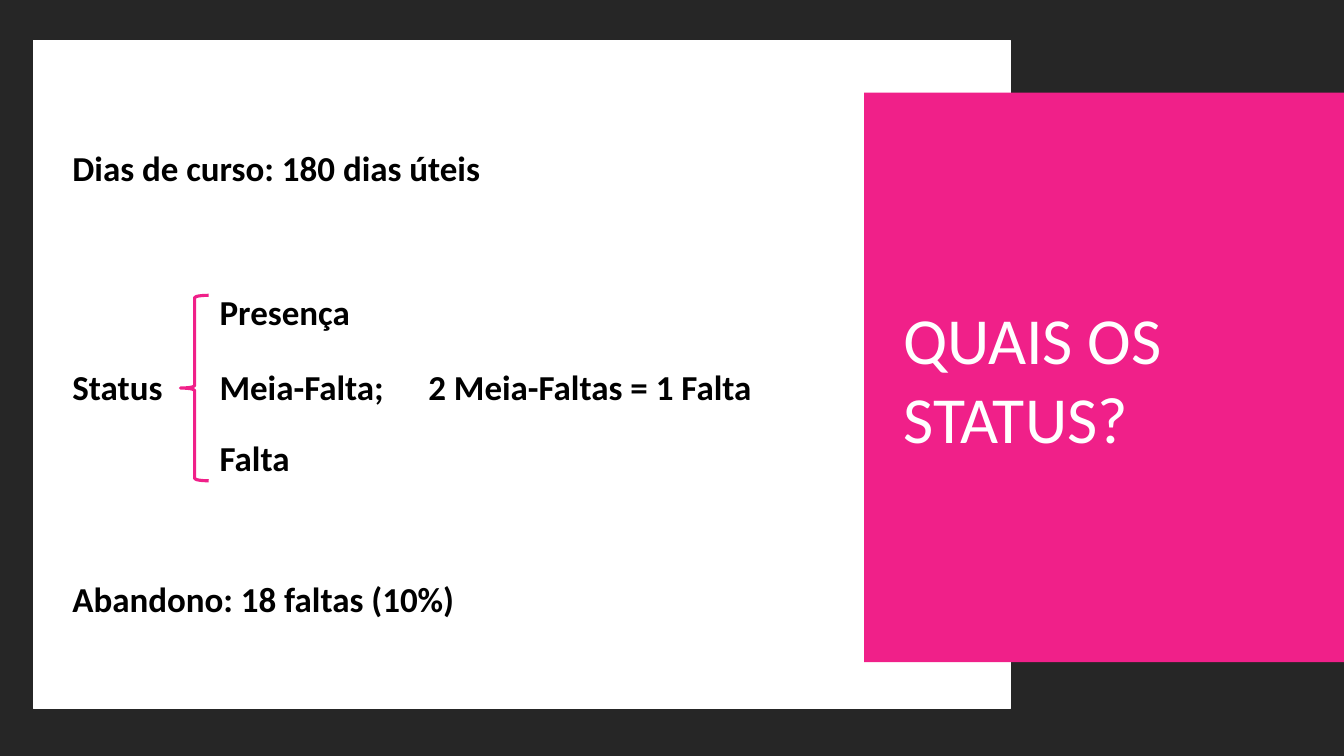
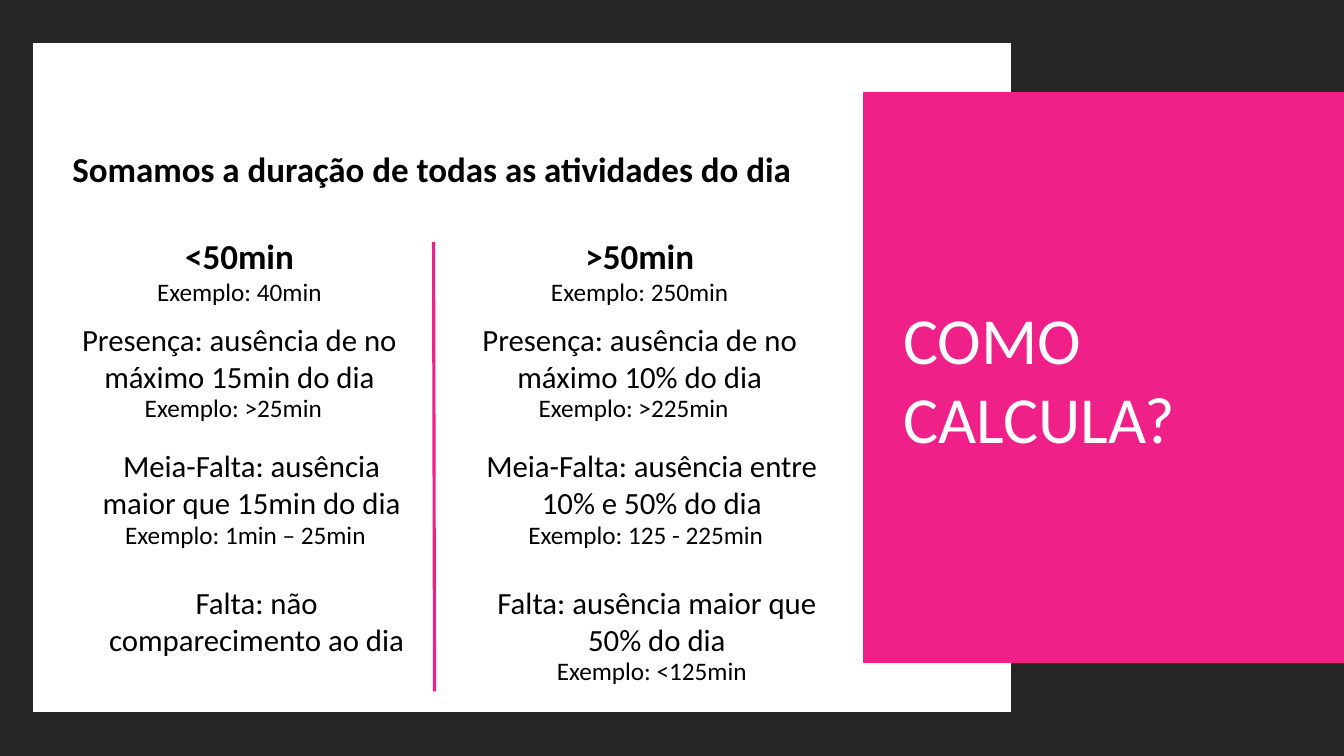
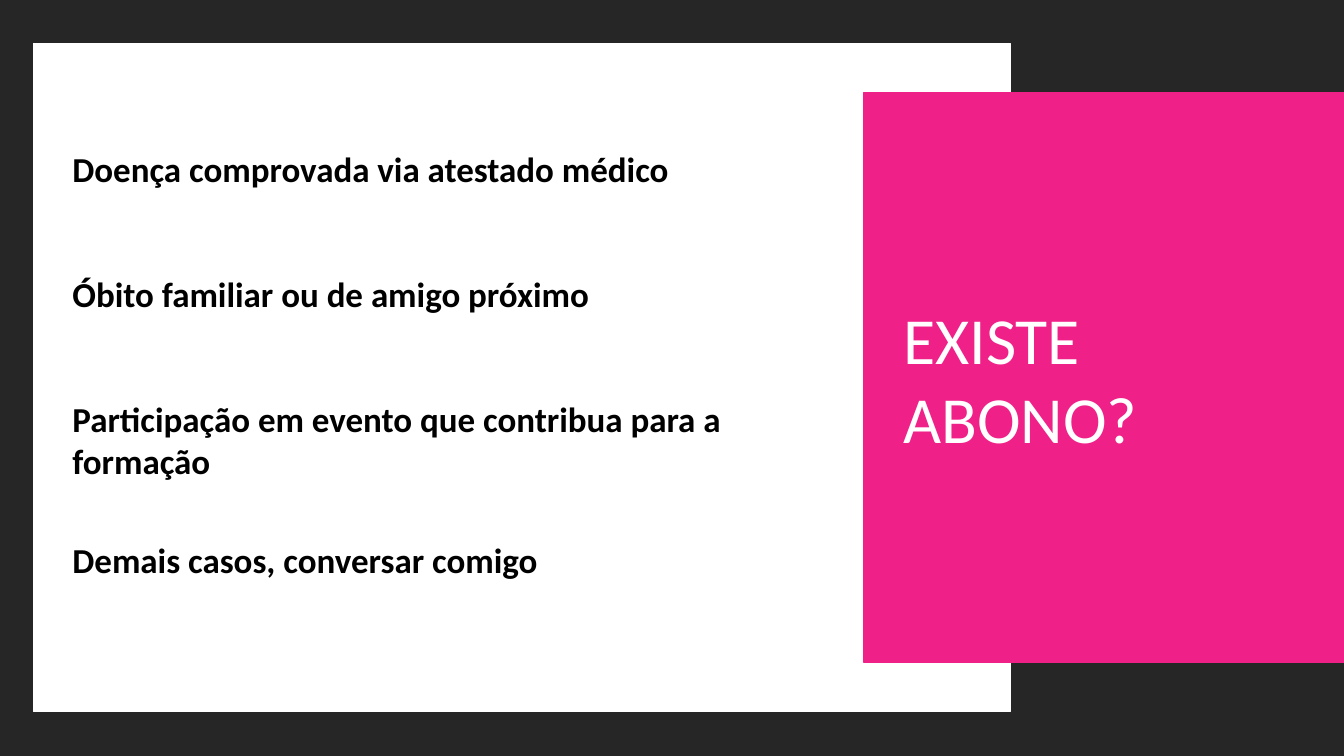
from collections import namedtuple

from lxml import etree
from pptx import Presentation
from pptx.dml.color import RGBColor
from pptx.enum.shapes import MSO_CONNECTOR, MSO_SHAPE
from pptx.enum.text import MSO_AUTO_SIZE, PP_ALIGN
from pptx.oxml.ns import qn
from pptx.util import Inches, Pt

RECTANGLE = MSO_SHAPE.RECTANGLE
LEFT_BRACE = MSO_SHAPE.LEFT_BRACE
STRAIGHT = MSO_CONNECTOR.STRAIGHT
LEFT, CENTER = PP_ALIGN.LEFT, PP_ALIGN.CENTER
GROW = MSO_AUTO_SIZE.SHAPE_TO_FIT_TEXT

COLORS = {
    "dark": "262626",
    "white": "FFFFFF",
    "pink": "F02089",
    "black": "000000",
}
STYLES = {
    "title": {"size": Pt(47), "bold": False, "color": "white"},
    "strong": {"size": Pt(25), "bold": True, "color": "black"},
    "rule": {"size": Pt(22), "bold": False, "color": "black"},
    "example": {"size": Pt(18), "bold": False, "color": "black"},
}
LINE_HEIGHTS = {"strong": 0.52, "rule": 0.84, "example": 0.4}
FONT = "Calibri"
ACCENT_WIDTH = 2.25

Box = namedtuple("Box", "left top width height")
SLIDE = Box(0, 0, 13.33, 7.5)
TITLE_PANEL = Box(8.57, 0.92, 5.66, 5.65)
TEXT_INDENT = 0.29
FIRST_ROW = 0.98
TEXT_WIDTH = 7.36


def rgb(name):
    return RGBColor.from_string(COLORS[name])


def inside(area, left, top, width, height):
    return Box(area.left + left, area.top + top, width, height)


def add_text(page, box, text, style, align=LEFT):
    frame = page.shapes.add_textbox(*map(Inches, box)).text_frame
    frame.word_wrap = True
    frame.auto_size = GROW
    para = frame.paragraphs[0]
    para.alignment = align
    span = para.add_run()
    span.text = text
    span.font.name = FONT
    for name, value in STYLES[style].items():
        if name == "color":
            span.font.color.rgb = rgb(value)
        else:
            setattr(span.font, name, value)


def add_figure(page, kind, box, fill=None, line=None, line_width=1):
    shape = page.shapes.add_shape(kind, *map(Inches, box))
    shape.shadow.inherit = False
    if fill:
        shape.fill.solid()
        shape.fill.fore_color.rgb = rgb(fill)
    else:
        shape.fill.background()
    if line:
        shape.line.color.rgb = rgb(line)
        shape.line.width = Pt(line_width)
    else:
        shape.line.fill.background()


def add_divider(page, left, top, right, bottom):
    divider = page.shapes.add_connector(
        STRAIGHT, *map(Inches, (left, top, right, bottom)))
    divider.line.color.rgb = rgb("pink")
    divider.line.width = Pt(ACCENT_WIDTH)
    etree.SubElement(divider._element.spPr, qn("a:effectLst"))


def add_page(deck, title, content_top=0.43, panel_line="pink"):
    page = deck.slides.add_slide(deck.slide_layouts[6])
    page.background.fill.solid()
    page.background.fill.fore_color.rgb = rgb("dark")
    content = Box(0.33, content_top, 9.69, 6.63)
    add_figure(page, RECTANGLE, content, "white", "white")
    add_figure(page, RECTANGLE, TITLE_PANEL, "pink", panel_line)
    add_text(page, inside(TITLE_PANEL, 0.29, 1.99, 4.15, 1.68), title, "title")
    return page, content


def place_statuses(page, area):
    height = LINE_HEIGHTS["strong"]
    middle = 3.18
    options = TEXT_INDENT + 1.46
    labels = [
        (TEXT_INDENT, 1, 5.66, "Dias de curso: 180 dias úteis"),
        (TEXT_INDENT, middle, 1.17, "Status"),
        (options, middle - 0.75, 1.58, "Presença"),
        (options, middle, 1.89, "Meia-Falta;"),
        (options, middle + 0.7, 0.95, "Falta"),
        (TEXT_INDENT, 5.28, 6.54, "Abandono: 18 faltas (10%)"),
        (options + 2.07, middle, 3.52, "2 Meia-Faltas = 1 Falta"),
    ]
    add_figure(page, LEFT_BRACE, inside(area, 1.46, 2.53, 0.28, 1.84),
               line="pink", line_width=ACCENT_WIDTH)
    for left, top, width, text in labels:
        add_text(page, inside(area, left, top, width, height), text, "strong")


def place_calculation(page, area):
    column_width, column_step = 3.53, 3.97
    heading_width = 1.28
    heading_left = 0.28 + (column_width - heading_width) / 2
    rows = [
        (heading_left, 1.85, heading_width, "strong", ("<50min", ">50min")),
        (0.28, 2.7, column_width, "rule",
         ("Presença: ausência de no máximo 15min do dia",
          "Presença: ausência de no máximo 10% do dia")),
        (0.28, 2.26, column_width, "example",
         ("Exemplo: 40min", "Exemplo: 250min")),
        (0.22, 3.41, column_width, "example",
         ("Exemplo: >25min", "Exemplo: >225min")),
        (0.4, 3.95, column_width, "rule",
         ("Meia-Falta: ausência maior que 15min do dia",
          "Meia-Falta: ausência entre 10% e 50% do dia")),
        (0.34, 4.67, column_width, "example",
         ("Exemplo: 1min – 25min", "Exemplo: 125 - 225min")),
        (0.45, 5.31, column_width, "rule",
         ("Falta: não comparecimento ao dia",
          "Falta: ausência maior que 50% do dia")),
        (0.4, 6.02, column_width, "example", (None, "Exemplo: <125min")),
    ]
    heading = inside(area, TEXT_INDENT, FIRST_ROW, TEXT_WIDTH,
                     LINE_HEIGHTS["strong"])
    add_text(page, heading,
             "Somamos a duração de todas as atividades do dia", "strong")
    add_divider(page, area.left + 3.97, area.top + 1.97,
                area.left + 3.98, area.top + 6.43)
    for left, top, width, style, texts in rows:
        for column, text in enumerate(texts):
            if text:
                box = inside(area, left + column * column_step, top, width,
                             LINE_HEIGHTS[style])
                add_text(page, box, text, style, CENTER)


def place_excuses(page, area):
    gap = 0.72
    top = FIRST_ROW
    excuses = [
        ("Doença comprovada via atestado médico", 0.52, gap),
        ("Óbito familiar ou de amigo próximo", 0.52, gap),
        ("Participação em evento que contribua para a formação", 0.94, 0.46),
        ("Demais casos, conversar comigo", 0.52, 0),
    ]
    for text, height, space_after in excuses:
        add_text(page, inside(area, TEXT_INDENT, top, TEXT_WIDTH, height),
                 text, "strong")
        top += height + space_after


def main():
    deck = Presentation()
    deck.slide_width = Inches(SLIDE.width)
    deck.slide_height = Inches(SLIDE.height)
    place_statuses(*add_page(deck, "QUAIS OS STATUS?", 0.4, None))
    place_calculation(*add_page(deck, "COMO CALCULA?"))
    place_excuses(*add_page(deck, "EXISTE ABONO?"))
    deck.save("out.pptx")


if __name__ == "__main__":
    main()
